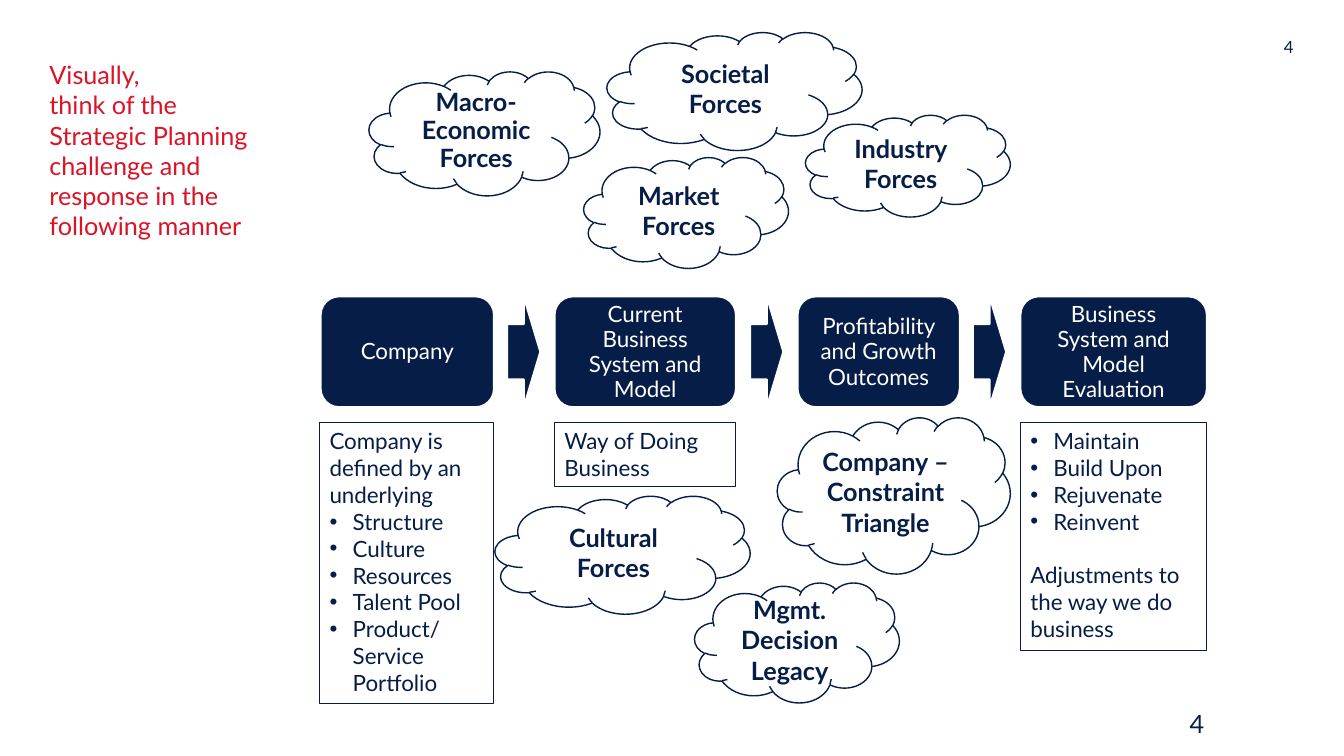
from dataclasses import dataclass

from lxml import etree
from pptx import Presentation
from pptx.dml.color import RGBColor
from pptx.enum.shapes import MSO_SHAPE
from pptx.enum.text import MSO_ANCHOR, PP_ALIGN
from pptx.oxml.ns import qn
from pptx.util import Emu, Pt

ROUNDED, RECTANGLE = MSO_SHAPE.ROUNDED_RECTANGLE, MSO_SHAPE.RECTANGLE
CLOUD, ARROW = MSO_SHAPE.CLOUD, MSO_SHAPE.RIGHT_ARROW
LEFT, CENTER, RIGHT = PP_ALIGN.LEFT, PP_ALIGN.CENTER, PP_ALIGN.RIGHT
TOP, MIDDLE = MSO_ANCHOR.TOP, MSO_ANCHOR.MIDDLE
EMU_PER_PX = 9144
STAGE_TOP, STAGE_HEIGHT = 294, 110
NOTE_TOP = 419
ARROW_WIDTH = 33
BULLET_INDENT = 23


@dataclass(frozen=True)
class Theme:
    font: str = "Lato"
    navy: RGBColor = RGBColor(0x06, 0x1D, 0x48)
    white: RGBColor = RGBColor(0xFF, 0xFF, 0xFF)
    red: RGBColor = RGBColor(0xDC, 0x13, 0x27)
    large: int = 18
    body: int = 16
    small: int = 12


@dataclass(frozen=True)
class Box:
    left: int
    top: int
    width: int
    height: int

    def emu(self) -> list[Emu]:
        return [Emu(n * EMU_PER_PX) for n in (self.left, self.top, self.width, self.height)]


@dataclass(frozen=True)
class Line:
    text: str
    bullet: bool = False
    space_before: int = 0


@dataclass(frozen=True)
class Stage:
    text: str
    left: int
    width: int


@dataclass(frozen=True)
class Note:
    box: Box
    lines: list[Line]


@dataclass(frozen=True)
class Cloud:
    text: str
    box: Box
    spacing: int | None = None


THEME = Theme()

STAGES = [
    Stage("Company", 318, 172),
    Stage("Current Business System and Model", 550, 180),
    Stage("Profitability and Growth Outcomes", 791, 161),
    Stage("Business System and Model Evaluation", 1012, 185),
]

NOTES = [
    Note(Box(317, NOTE_TOP, 172, 279), [
        Line("Company is defined by an underlying"),
        Line("Structure", bullet=True),
        Line("Culture", bullet=True),
        Line("Resources", bullet=True),
        Line("Talent Pool", bullet=True),
        Line("Product/ Service Portfolio", bullet=True),
    ]),
    Note(Box(550, NOTE_TOP, 179, 64), [Line("Way of Doing Business")]),
    Note(Box(1012, NOTE_TOP, 185, 226), [
        Line("Maintain", bullet=True),
        Line("Build Upon", bullet=True),
        Line("Rejuvenate", bullet=True),
        Line("Reinvent", bullet=True),
        Line("Adjustments to the way we do business", space_before=19),
    ]),
]

CLOUDS = [
    Cloud("Market Forces", Box(579, 156, 203, 110)),
    Cloud("Industry Forces", Box(799, 114, 203, 101)),
    Cloud("Macro-Economic Forces", Box(366, 71, 229, 123), spacing=20),
    Cloud("Company – Constraint Triangle", Box(771, 414, 231, 155)),
    Cloud("Mgmt. Decision Legacy", Box(689, 578, 203, 119)),
    Cloud("Societal Forces", Box(602, 32, 253, 117)),
    Cloud("Cultural Forces", Box(491, 492, 253, 117)),
]


def add_bullet(paragraph) -> None:
    properties = paragraph._p.get_or_add_pPr()
    indent = BULLET_INDENT * EMU_PER_PX
    properties.set("marL", str(indent))
    properties.set("indent", str(-indent))
    etree.SubElement(properties, qn("a:buFont")).set("typeface", "Arial")
    etree.SubElement(properties, qn("a:buChar")).set("char", "•")


def write_text(shape, lines: list[Line], *, size: int, color: RGBColor, bold: bool = False,
               align: PP_ALIGN = LEFT, anchor: MSO_ANCHOR = TOP,
               spacing: int | None = None, inset: bool = True) -> None:
    frame = shape.text_frame
    frame.word_wrap = True
    frame.vertical_anchor = anchor
    if not inset:
        frame.margin_left = frame.margin_top = frame.margin_right = frame.margin_bottom = 0
    for index, line in enumerate(lines):
        paragraph = frame.add_paragraph() if index else frame.paragraphs[0]
        paragraph.text = line.text
        if line.bullet:
            add_bullet(paragraph)
        paragraph.alignment = align
        paragraph.space_before = Pt(line.space_before)
        if spacing:
            paragraph.line_spacing = Pt(spacing)
        paragraph.font.name = THEME.font
        paragraph.font.size = Pt(size)
        paragraph.font.bold = bold
        paragraph.font.color.rgb = color


def add_figure(slide, kind: MSO_SHAPE, box: Box, *, fill: RGBColor | None,
               outline: RGBColor, weight: float):
    shape = slide.shapes.add_shape(kind, *box.emu())
    shape.shadow.inherit = False
    if fill is None:
        shape.fill.background()
    else:
        shape.fill.solid()
        shape.fill.fore_color.rgb = fill
    shape.line.color.rgb = outline
    shape.line.width = Pt(weight)
    return shape


def add_stages(slide) -> None:
    for stage in STAGES:
        box = Box(stage.left, STAGE_TOP, stage.width, STAGE_HEIGHT)
        shape = add_figure(slide, ROUNDED, box, fill=THEME.navy, outline=THEME.white, weight=1.5)
        write_text(shape, [Line(stage.text)], size=THEME.body, color=THEME.white,
                   align=CENTER, anchor=MIDDLE, spacing=18)
    for stage, following in zip(STAGES, STAGES[1:]):
        end = stage.left + stage.width
        left = end + (following.left - end - ARROW_WIDTH) // 2
        box = Box(left, STAGE_TOP, ARROW_WIDTH, STAGE_HEIGHT)
        add_figure(slide, ARROW, box, fill=THEME.navy, outline=THEME.white, weight=1.5)


def add_note(slide, note: Note) -> None:
    shape = add_figure(slide, RECTANGLE, note.box, fill=None, outline=THEME.navy, weight=0.5)
    write_text(shape, note.lines, size=THEME.body, color=THEME.navy)


def add_cloud(slide, cloud: Cloud) -> None:
    shape = add_figure(slide, CLOUD, cloud.box, fill=THEME.white, outline=THEME.navy, weight=1)
    write_text(shape, [Line(cloud.text)], size=THEME.large, color=THEME.navy, bold=True,
               align=CENTER, anchor=MIDDLE, spacing=cloud.spacing)


def main() -> None:
    presentation = Presentation()
    presentation.slide_width = Emu(1333 * EMU_PER_PX)
    presentation.slide_height = Emu(750 * EMU_PER_PX)
    slide = presentation.slides.add_slide(presentation.slide_layouts[5])

    title = slide.shapes.title
    title.left, title.top, title.width, title.height = Box(39, 54, 247, 190).emu()
    heading = ("Visually,\vthink of the Strategic Planning challenge and "
               "response in the following manner")
    write_text(title, [Line(heading)], size=THEME.large, color=THEME.red)

    add_stages(slide)
    for note in NOTES:
        add_note(slide, note)
    for cloud in CLOUDS:
        add_cloud(slide, cloud)

    top_number = slide.shapes.add_textbox(*Box(1242, 36, 41, 20).emu())
    write_text(top_number, [Line("4")], size=THEME.small, color=THEME.navy, align=RIGHT, inset=False)
    bottom_number = slide.shapes.add_textbox(*Box(1170, 698, 163, 40).emu())
    write_text(bottom_number, [Line("4")], size=THEME.large, color=THEME.navy)
    presentation.save("out.pptx")


if __name__ == "__main__":
    main()
